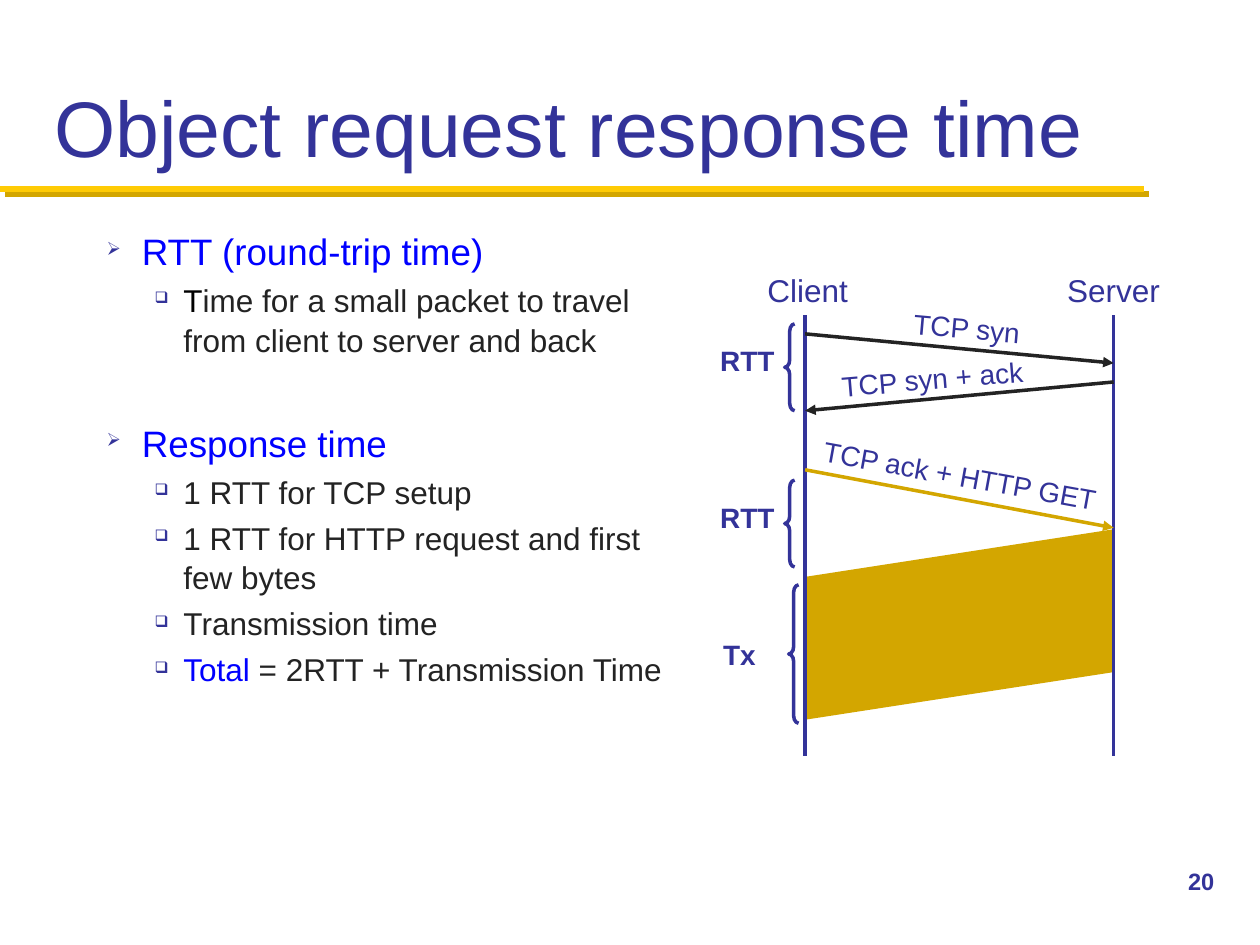
from dataclasses import dataclass

import pptx
import pptx.dml.color
import pptx.enum.dml
import pptx.enum.shapes
import pptx.enum.text
import pptx.oxml
import pptx.oxml.ns
import pptx.util

Cm = pptx.util.Cm
Pt = pptx.util.Pt
ALIGN = pptx.enum.text.PP_ALIGN
ANCHOR = pptx.enum.text.MSO_ANCHOR
SHAPE = pptx.enum.shapes.MSO_SHAPE
NS = pptx.oxml.ns.nsdecls("a")


@dataclass(frozen=True)
class Theme:
    font: str = "Arial"
    navy: str = "333399"
    blue: str = "0000FF"
    ink: str = "232323"
    black: str = "000000"
    gold: str = "D3A600"
    yellow: str = "FFCB05"
    title: float = 45
    heading: float = 21
    body: float = 18
    label: float = 16
    number: float = 13.5
    stroke: float = 2
    rule: float = 3.5


THEME = Theme()
CLIENT_X, SERVER_X = 16.23, 22.45
SHADOW = (f'<a:effectLst {NS}><a:outerShdw dist="53340" dir="2700000" algn="ctr" rotWithShape="0">'
          f'<a:srgbClr val="{THEME.gold}"/></a:outerShdw></a:effectLst>')

# Level, space before in points, runs of (text, colour)
POINTS = [
    (0, 0, [("RTT (round-trip time)", THEME.blue)]),
    (1, 3.6, [("T", THEME.black),
              ("ime for a small packet to travel from client to server and back", THEME.ink)]),
    (0, 34, [("Response time", THEME.blue)]),
    (1, 3.6, [("1 RTT for TCP setup", THEME.ink)]),
    (1, 3.6, [("1 RTT for HTTP request and first few bytes", THEME.ink)]),
    (1, 3.6, [("Transmission time", THEME.ink)]),
    (1, 3.6, [("Total", THEME.blue), (" = 2RTT + Transmission Time", THEME.ink)]),
]
# Bullet, left margin in cm, hanging indent in cm, type size
LEVELS = [("➢", 0.71, 0.71, THEME.heading), ("❑", 1.55, 0.58, THEME.body)]


def rgb(value):
    return pptx.dml.color.RGBColor.from_string(value)


def style(font, size, color, bold=False):
    font.name = THEME.font
    font.size = Pt(size)
    font.bold = bold
    font.color.rgb = rgb(color)


def add_text(slide, text, box, size, bold=False, align=ALIGN.LEFT, anchor=ANCHOR.TOP, wrap=True):
    holder = slide.shapes.add_textbox(*map(Cm, box))
    frame = holder.text_frame
    frame.word_wrap = wrap
    frame.vertical_anchor = anchor
    frame.text = text
    frame.paragraphs[0].alignment = align
    style(frame.paragraphs[0].runs[0].font, size, THEME.navy, bold)
    return holder


def add_label(slide, text, center, size, width, height, angle=0):
    """Centre a one-line label on a point, turned by angle degrees."""
    x, y = center
    box = (x - width / 2, y - height / 2, width, height)
    label = add_text(slide, text, box, size, align=ALIGN.CENTER, wrap=False)
    label.rotation = angle


def add_line(slide, start, end, color, width=THEME.stroke, arrow=False,
             effects=f"<a:effectLst {NS}/>"):
    line = slide.shapes.add_connector(pptx.enum.shapes.MSO_CONNECTOR.STRAIGHT,
                                      *map(Cm, (*start, *end)))
    line.line.color.rgb = rgb(color)
    line.line.width = Pt(width)
    if arrow:
        line.line._get_or_add_ln().append(
            pptx.oxml.parse_xml(f'<a:tailEnd {NS} type="triangle"/>'))
    line._element.spPr.append(pptx.oxml.parse_xml(effects))


def add_brace(slide, left, top, height):
    brace = slide.shapes.add_shape(SHAPE.LEFT_BRACE, Cm(left), Cm(top), Cm(0.2), Cm(height))
    brace.shadow.inherit = False
    brace.adjustments[0] = 0.75
    brace.fill.background()
    brace.line.color.rgb = rgb(THEME.navy)
    brace.line.width = Pt(THEME.stroke)


def add_data_block(slide):
    """Draw the response data as a parallelogram slanting down to the client."""
    width, height = 3.84, SERVER_X - CLIENT_X
    center_x, center_y = (CLIENT_X + SERVER_X) / 2, 12.59
    block = slide.shapes.add_shape(SHAPE.PARALLELOGRAM, Cm(center_x - width / 2),
                                   Cm(center_y - height / 2), Cm(width), Cm(height))
    block.shadow.inherit = False
    block.adjustments[0] = 0.25
    block.rotation = 270
    block._element.spPr.xfrm.set("flipH", "1")
    block.fill.solid()
    block.fill.fore_color.rgb = rgb(THEME.gold)
    block.line.fill.background()


def add_bullet(paragraph, symbol, margin, hanging):
    properties = paragraph._p.get_or_add_pPr()
    properties.set("marL", str(Cm(margin)))
    properties.set("indent", str(-Cm(hanging)))
    for xml in (f'<a:buClr {NS}><a:srgbClr val="{THEME.navy}"/></a:buClr>',
                f'<a:buSzPct {NS} val="50000"/>',
                f'<a:buChar {NS} char="{symbol}"/>'):
        properties.append(pptx.oxml.parse_xml(xml))


def add_points(slide):
    holder = slide.shapes.add_textbox(Cm(1.9), Cm(4.45), Cm(12.04), Cm(12.27))
    frame = holder.text_frame
    frame.word_wrap = True
    for index, (level, space, runs) in enumerate(POINTS):
        point = frame.add_paragraph() if index else frame.paragraphs[0]
        symbol, margin, hanging, size = LEVELS[level]
        point.level = level
        add_bullet(point, symbol, margin, hanging)
        point.line_spacing = 1.05
        point.space_before = Pt(space)
        for text, color in runs:
            run = point.add_run()
            run.text = text
            style(run.font, size, color)


def add_timeline(slide):
    add_data_block(slide)
    for name, label_x, line_x, width in (("Client", 16.28, CLIENT_X, 2.13),
                                         ("Server", SERVER_X, SERVER_X, 2.39)):
        add_line(slide, (line_x, 6.35), (line_x, 15.24), THEME.navy)
        add_label(slide, name, (label_x, 5.84), THEME.body, width, 1.02)

    messages = [
        ("TCP syn", (CLIENT_X, 6.73), (SERVER_X, 7.32), THEME.ink, (19.49, 6.62), 2.72, 5.1),
        ("TCP syn + ack ", (SERVER_X, 7.7), (CLIENT_X, 8.28), THEME.ink, (18.87, 7.63), 4.47, 355.2),
        ("TCP ack + HTTP GET", (CLIENT_X, 9.47), (SERVER_X, 10.64), THEME.gold, (19.35, 9.59), 6.15, 10.4),
    ]
    for text, start, end, color, center, width, angle in messages:
        add_line(slide, start, end, color, arrow=True)
        add_label(slide, text, center, THEME.label, width, 0.94, angle)

    # Name, name box, brace left, top and height
    intervals = [("RTT", (14.27, 6.81, 1.6, 0.94), (15.82, 6.53, 1.75)),
                 ("RTT", (14.27, 9.96, 1.6, 0.94), (15.82, 9.68, 1.75)),
                 ("Tx", (14.33, 12.73, 1.17, 0.94), (15.9, 11.79, 2.79))]
    for name, box, brace in intervals:
        add_brace(slide, *brace)
        add_text(slide, name, box, THEME.label, bold=True, wrap=False)


def main():
    deck = pptx.Presentation()
    deck.slide_width, deck.slide_height = Cm(25.4), Cm(19.05)
    slide = deck.slides.add_slide(deck.slide_layouts[6])
    add_line(slide, (0, 3.81), (23.06, 3.81), THEME.yellow, THEME.rule, effects=SHADOW)
    add_text(slide, "Object request response time", (0.84, 0.43, 23.7, 3.18),
             THEME.title, anchor=ANCHOR.BOTTOM)
    add_points(slide)
    add_text(slide, "20", (23.7, 17.35, 1.7, 1.27), THEME.number, bold=True)
    add_timeline(slide)
    deck.save("out.pptx")


if __name__ == "__main__":
    main()
